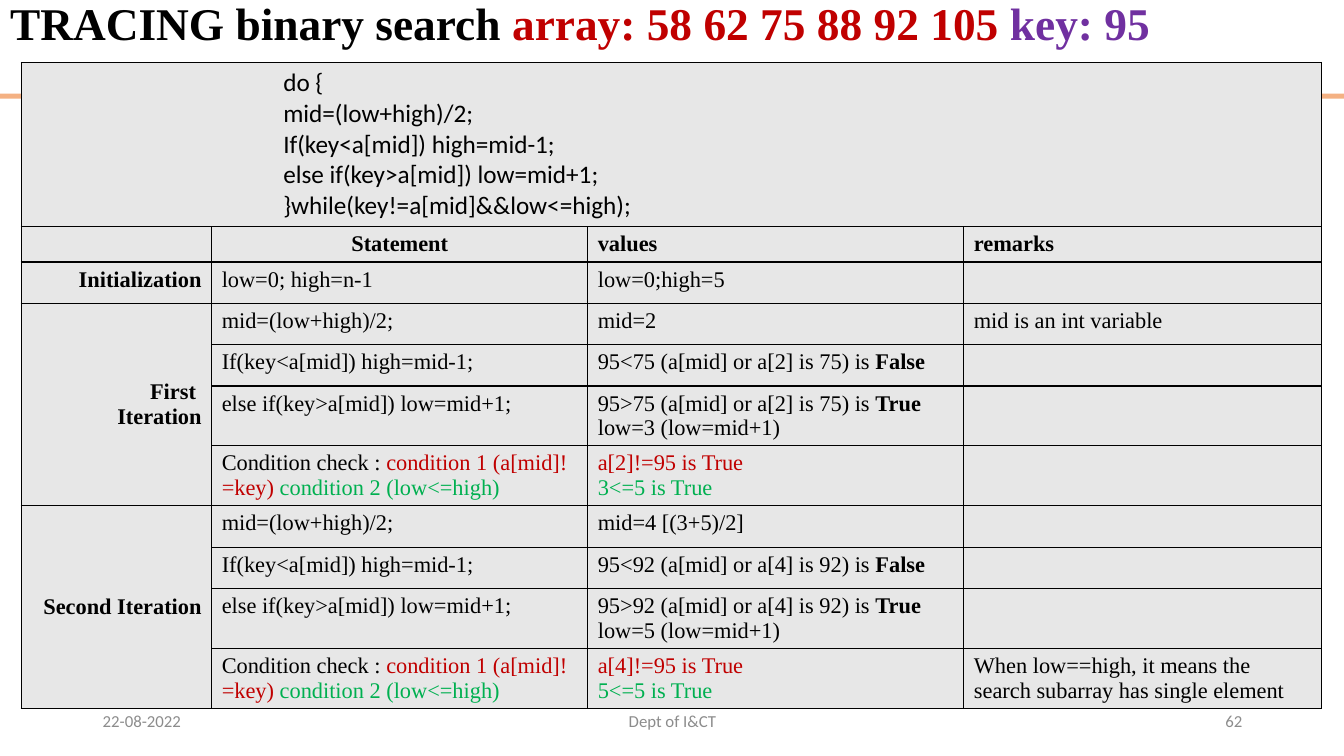
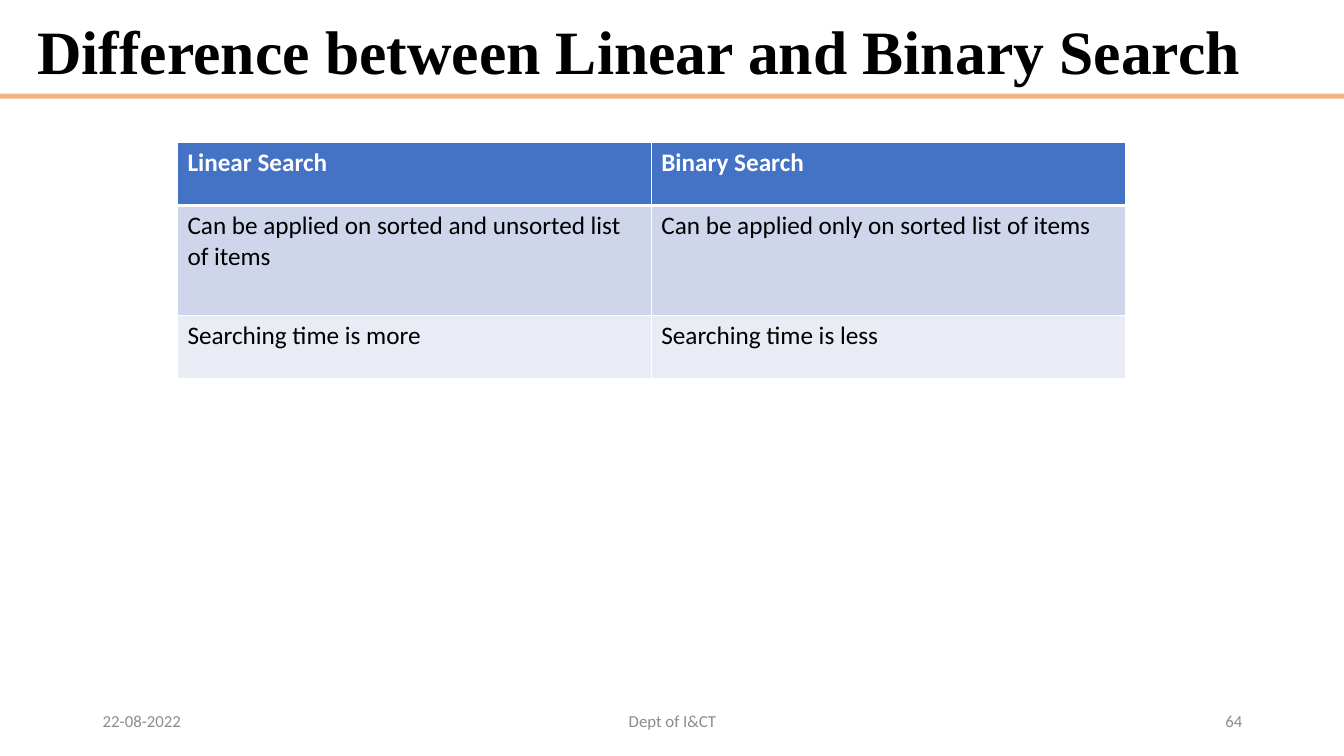
"""Build two slides that trace binary search and compare it with linear search."""
from dataclasses import dataclass
from typing import Optional

from pptx import Presentation
from pptx.dml.color import RGBColor
from pptx.enum.shapes import MSO_SHAPE as Shape
from pptx.enum.text import MSO_ANCHOR as Anchor, MSO_AUTO_SIZE as Fit, PP_ALIGN as Align
from pptx.oxml.ns import qn
from pptx.util import Inches, Pt
from lxml.etree import SubElement

BLACK = RGBColor(0x00, 0x00, 0x00)
WHITE = RGBColor(0xFF, 0xFF, 0xFF)
RED = RGBColor(0xC0, 0x00, 0x00)
GREEN = RGBColor(0x00, 0xB0, 0x50)
PURPLE = RGBColor(0x70, 0x30, 0xA0)
ORANGE = RGBColor(0xF4, 0xB1, 0x83)
MUTED = RGBColor(0x8C, 0x8C, 0x8C)
GREY = RGBColor(0xE7, 0xE7, 0xE7)
BLUE = RGBColor(0x44, 0x72, 0xC4)
BANDS = RGBColor(0xCF, 0xD5, 0xEA), RGBColor(0xE9, 0xEB, 0xF5)
SERIF = "Times New Roman"
SANS = "Calibri"


@dataclass(frozen=True)
class Run:
    text: str
    color: Optional[RGBColor] = None
    bold: Optional[bool] = None


Para = list[Run]


@dataclass(frozen=True)
class Style:
    font: str
    size: float
    color: RGBColor = BLACK
    bold: bool = False
    align: Align = Align.LEFT
    indent: float = 0


@dataclass(frozen=True)
class Cell:
    paras: list[Para]
    style: Style
    anchor: Anchor = Anchor.TOP


@dataclass(frozen=True)
class Step:
    label: list[str]
    mid: int
    calc: str
    item: int
    low: int
    note: str = ""
    last: str = ""


@dataclass(frozen=True)
class Foot:
    left: float
    width: float
    align: Align


BODY = Style(SERIF, 16)
HEAD = Style(SERIF, 16, bold=True)
MID = Style(SERIF, 16, bold=True, align=Align.CENTER)
SIDE = Style(SERIF, 16, bold=True, align=Align.RIGHT)
CODE = Style(SANS, 18, indent=2.5)
PLAIN = Style(SANS, 18)
FEET = [
    Foot(0.92, 3, Align.LEFT),
    Foot(4.42, 4.5, Align.CENTER),
    Foot(9.42, 3, Align.RIGHT),
]
LOOP = [
    "do {",
    "mid=(low+high)/2;",
    "If(key<a[mid]) high=mid-1;",
    "else if(key>a[mid]) low=mid+1;",
    "}while(key!=a[mid]&&low<=high);",
]
STEPS = [
    Step(["First ", "Iteration"], 2, "mid=2", 75, 3, note="mid is an int variable"),
    Step(["Second Iteration"], 4, "mid=4 [(3+5)/2]", 92, 5,
         last="When low==high, it means the search subarray has single element"),
]
PAIRS = [
    ("Linear Search", "Binary Search"),
    ("Can be applied on sorted and unsorted list of items",
     "Can be applied only on sorted list of items"),
    ("Searching time is more", "Searching time is less"),
]


def fill_text(frame, paras: list[Para], style: Style) -> None:
    """Write styled paragraphs into a text frame."""
    for i, runs in enumerate(paras):
        para = frame.paragraphs[0] if i == 0 else frame.add_paragraph()
        para.alignment = style.align
        if style.indent:
            props = para._p.get_or_add_pPr()
            props.set("marL", str(Inches(style.indent)))
            props.set("indent", "0")
        font = para.font
        font.name, font.size, font.bold = style.font, Pt(style.size), style.bold
        font.color.rgb = style.color
        for part in runs:
            run = para.add_run()
            run.text = part.text
            if part.color is not None:
                run.font.color.rgb = part.color
            if part.bold is not None:
                run.font.bold = part.bold


def text(*lines: str, style: Style = BODY, anchor: Anchor = Anchor.TOP) -> Cell:
    """Make a cell of plain lines."""
    return Cell([[Run(line)] if line else [] for line in lines], style, anchor)


def edge(cell, color: RGBColor, top: float = 1, bottom: float = 1) -> None:
    """Draw the four borders of a cell."""
    props = cell._tc.get_or_add_tcPr()
    for tag, width in (("lnL", 1), ("lnR", 1), ("lnT", top), ("lnB", bottom)):
        line = SubElement(props, qn(f"a:{tag}"), w=str(Pt(width)))
        SubElement(SubElement(line, qn("a:solidFill")), qn("a:srgbClr"), val=str(color))


def add_grid(slide, left: float, top: float, cols: list[float], rows: list[float]):
    """Add a table with no built-in banding."""
    table = slide.shapes.add_table(
        len(rows), len(cols), Inches(left), Inches(top),
        Inches(sum(cols)), Inches(sum(rows))).table
    table.first_row = table.horz_banding = False
    for col, width in zip(table.columns, cols):
        col.width = Inches(width)
    for row, height in zip(table.rows, rows):
        row.height = Inches(height)
    return table


def put(cell, data: Cell, fill: RGBColor) -> None:
    """Fill one table cell."""
    cell.fill.solid()
    cell.fill.fore_color.rgb = fill
    cell.vertical_anchor = data.anchor
    fill_text(cell.text_frame, data.paras, data.style)


def add_bar(slide, layout) -> None:
    """Place the orange band on the layout."""
    bar = slide.shapes.add_shape(
        Shape.RECTANGLE, 0, Inches(0.93), Inches(13.33), Inches(0.05))
    bar.shadow.inherit = False
    bar.fill.solid()
    bar.fill.fore_color.rgb = ORANGE
    bar.line.fill.background()
    layout.shapes.element.append(bar.element)


def add_title(slide, box: tuple[float, ...], size: float, runs: Para) -> None:
    """Move and format the title placeholder."""
    title = slide.shapes.title
    title.left, title.top, title.width, title.height = map(Inches, box)
    frame = title.text_frame
    frame.auto_size, frame.word_wrap = Fit.NONE, True
    frame.vertical_anchor = Anchor.MIDDLE
    fill_text(frame, [runs], Style(SERIF, size, bold=True))
    frame.paragraphs[0].line_spacing = 0.9


def add_feet(slide, page: int) -> None:
    """Add date, department and page number."""
    for foot, word in zip(FEET, ("22-08-2022", "Dept of I&CT", str(page))):
        box = slide.shapes.add_textbox(
            Inches(foot.left), Inches(6.95), Inches(foot.width), Inches(0.4))
        frame = box.text_frame
        frame.word_wrap = True
        frame.vertical_anchor = Anchor.MIDDLE
        fill_text(frame, [[Run(word)]], Style(SANS, 12, MUTED, align=foot.align))


def step_rows(step: Step) -> list[list[Cell]]:
    """Make the four table rows of one iteration."""
    ask = f"{step.item} (a[mid] or a[{step.mid}] is {step.item}) is "
    check = [Run("Condition check : "), Run("condition 1 (a[mid]!=key) ", RED),
             Run("condition 2 (low<=high)", GREEN)]
    less = [[Run("95<" + ask), Run("False", bold=True)]]
    more = [[Run("95>" + ask), Run("True", bold=True)],
            [Run(f"low={step.low} (low=mid+1)")]]
    both = [[Run(f"a[{step.mid}]!=95 is True", RED)],
            [Run(f"{step.low}<=5 is True", GREEN)]]
    none = text("")
    return [
        [text(*step.label, style=SIDE, anchor=Anchor.MIDDLE),
         text(LOOP[1]), text(step.calc), text(step.note)],
        [none, text(LOOP[2]), Cell(less, BODY), none],
        [none, text(LOOP[3]), Cell(more, BODY), none],
        [none, Cell([check], BODY), Cell(both, BODY), text(step.last)],
    ]


def draw_trace(slide) -> None:
    """Draw the binary search trace."""
    add_title(slide, (0, 0.02, 12.78, 0.47), 32.4, [
        Run("TRACING binary search "),
        Run("array: 58 62 75 88 92 105 ", RED),
        Run("key: 95", PURPLE)])
    none = text("")
    rows = [
        [text(*LOOP, style=CODE), none, none, none],
        [none, text("Statement", style=MID), text("values", style=HEAD),
         text("remarks", style=HEAD)],
        [text("Initialization", style=SIDE), text("low=0; high=n-1"),
         text("low=0;high=5"), none],
    ]
    for step in STEPS:
        rows += step_rows(step)
    tall = [0.41, 0.41, 0.59, 0.59]
    grid = add_grid(slide, 0.21, 0.62, [1.89, 3.73, 3.73, 3.55],
                    [1.63, 0.35, 0.41] + tall * len(STEPS))
    grid.cell(0, 0).merge(grid.cell(0, 3))
    for i in range(len(STEPS)):
        first = 3 + 4 * i
        grid.cell(first, 0).merge(grid.cell(first + 3, 0))
    for r, row in enumerate(rows):
        for c, data in enumerate(row):
            cell = grid.cell(r, c)
            edge(cell, BLACK)
            put(cell, data, GREY)


def draw_match(slide) -> None:
    """Draw the comparison of the two searches."""
    add_title(slide, (0.27, 0.15, 12.15, 0.79), 44,
              [Run("Difference between Linear and Binary Search")])
    grid = add_grid(slide, 1.76, 1.41, [4.7, 4.7], [0.63, 1.09, 0.63])
    for r, (pair, fill) in enumerate(zip(PAIRS, (BLUE, *BANDS))):
        for c, word in enumerate(pair):
            cell = grid.cell(r, c)
            edge(cell, WHITE, top=3 if r == 1 else 1, bottom=3 if r == 0 else 1)
            run = Run(word, WHITE, True) if r == 0 else Run(word)
            put(cell, Cell([[run]], PLAIN), fill)


def main() -> None:
    """Build and save the deck."""
    deck = Presentation()
    deck.slide_width, deck.slide_height = Inches(13.33), Inches(7.5)
    layout = deck.slide_layouts[5]
    for i, (draw, page) in enumerate(((draw_trace, 62), (draw_match, 64))):
        slide = deck.slides.add_slide(layout)
        if i == 0:
            add_bar(slide, layout)
        draw(slide)
        add_feet(slide, page)
    deck.save("out.pptx")


if __name__ == "__main__":
    main()
